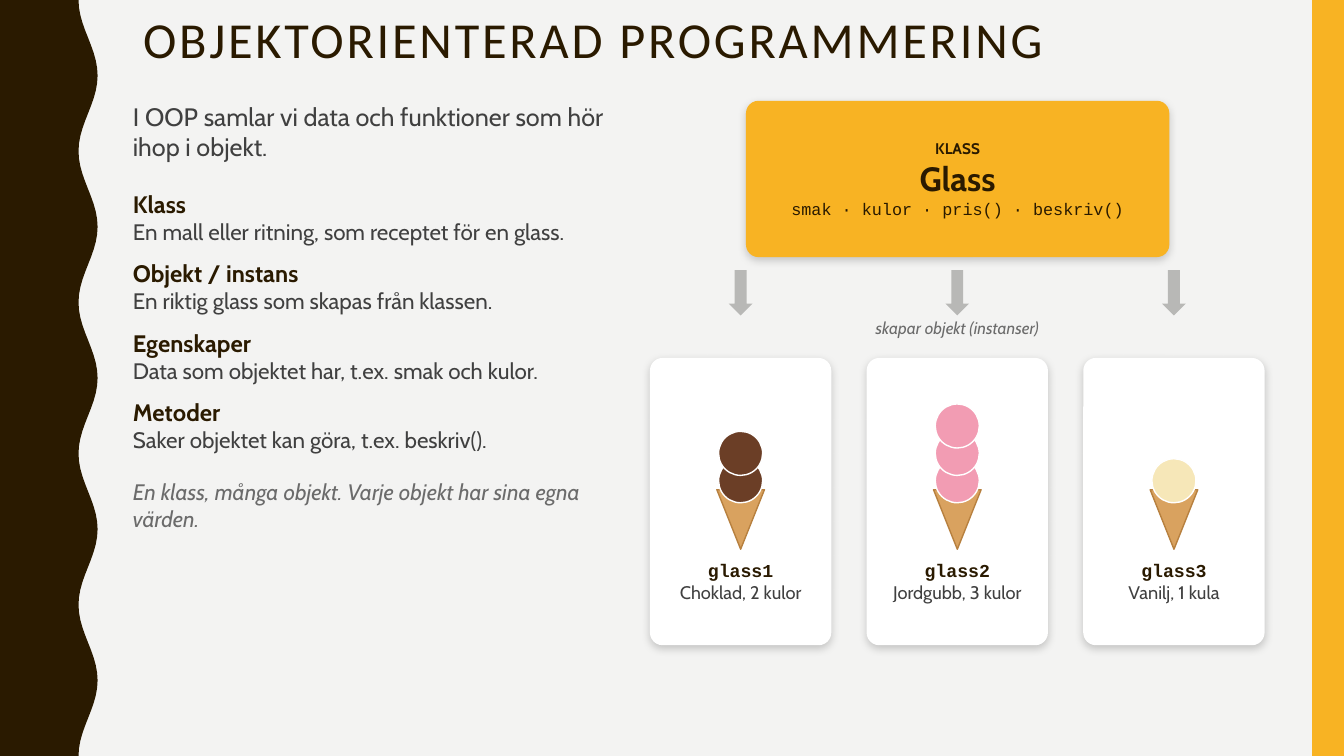
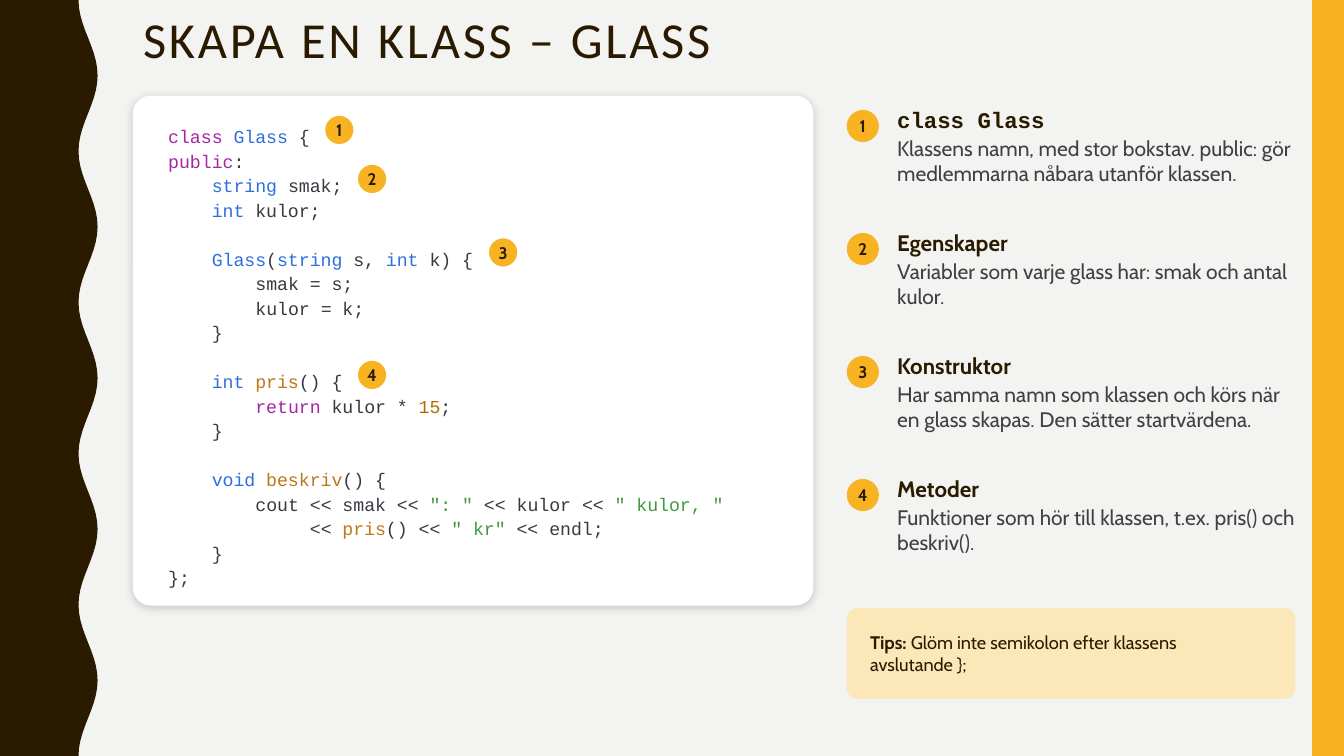
from math import cos, pi
from typing import NamedTuple

from pptx import Presentation
from pptx.dml.color import RGBColor
from pptx.enum.shapes import MSO_SHAPE as Preset
from pptx.enum.text import MSO_ANCHOR as Anchor, MSO_AUTO_SIZE as AutoSize, PP_ALIGN as Align
from pptx.oxml import parse_xml
from pptx.oxml.ns import nsdecls, qn
from pptx.oxml.xmlchemy import OxmlElement
from pptx.util import Cm, Pt


class Style(NamedTuple):
    size: float
    color: str
    font: str = "Cabin"
    bold: bool = False
    italic: bool = False


class Theme:
    background, dark, accent, white = "F3F3F2", "2A1A00", "F8B323", "FFFFFF"
    text, muted, arrow, tip_fill = "404040", "6B6B6B", "B8B8B6", "FBE7B8"
    cone, cone_edge = "D9A25F", "B7803F"
    chocolate, strawberry, vanilla = "6B3E26", "F29CB3", "F6E7B8"
    title_font, mono = "Calibri", "Courier New"
    title_size, code_size, code_pitch = 36, 13, 17.5

    intro = Style(18, text)
    term = Style(17, dark, bold=True)
    meaning = Style(16, text)
    closing = Style(16, muted, italic=True)
    class_tag = Style(11, dark, bold=True)
    class_name = Style(24, dark, bold=True)
    class_members = Style(12, dark, mono)
    caption = Style(12, muted, italic=True)
    object_name = Style(13, dark, mono, bold=True)
    object_values = Style(13, text)
    badge = Style(12, dark, bold=True)
    heading = Style(16, dark, bold=True)
    code_heading = Style(16, dark, mono, bold=True)
    explanation = Style(15, text)
    tip_label = Style(13, dark, bold=True)
    tip = Style(13, dark)

    plain = Style(code_size, "383A42", mono)
    keyword = Style(code_size, "A626A4", mono)
    kind = Style(code_size, "2E6FDB", mono)
    method = Style(code_size, "C0761B", mono)
    number = Style(code_size, "B26B00", mono)
    string = Style(code_size, "3F9A3E", mono)


def add_shape(slide, preset, box, fill, line=None, corner=None, shadow=False):
    shape = slide.shapes.add_shape(preset, *map(Cm, box))
    shape.fill.solid()
    shape.fill.fore_color.rgb = RGBColor.from_string(fill)
    if line:
        shape.line.color.rgb = RGBColor.from_string(line)
        shape.line.width = Pt(1)
    else:
        shape.line.fill.background()
    if corner:
        shape.adjustments[0] = corner
    shape.shadow.inherit = False
    if shadow:
        effects = shape.element.spPr.find(qn("a:effectLst"))
        effects.append(parse_xml(
            f'<a:outerShdw {nsdecls("a")} blurRad="{Pt(6)}" dist="{Pt(2)}" dir="5400000" rotWithShape="0">'
            '<a:srgbClr val="000000"><a:alpha val="18000"/></a:srgbClr></a:outerShdw>'))
    return shape


def write_text(shape, paragraphs, insets=(0, 0), anchor=Anchor.TOP, align=Align.LEFT, pitch=None):
    frame = shape.text_frame
    frame.word_wrap = True
    frame.auto_size = AutoSize.NONE
    frame.vertical_anchor = anchor
    frame.margin_left = frame.margin_right = Cm(insets[0])
    frame.margin_top = frame.margin_bottom = Cm(insets[1])
    for index, (space_before, runs) in enumerate(paragraphs):
        paragraph = frame.add_paragraph() if index else frame.paragraphs[0]
        paragraph.alignment = align
        paragraph.space_before = Pt(space_before)
        if pitch:
            paragraph.line_spacing = Pt(pitch)
        for text, style in runs:
            run = paragraph.add_run()
            run.text = text
            run.font.name = style.font
            run.font.size = Pt(style.size)
            run.font.bold = style.bold
            run.font.italic = style.italic
            run.font.color.rgb = RGBColor.from_string(style.color)


presentation = Presentation()
presentation.slide_width, presentation.slide_height = Cm(33.87), Cm(19.05)
master = presentation.slide_master
master.background.fill.solid()
master.background.fill.fore_color.rgb = RGBColor.from_string(Theme.background)

master_title = master.placeholders[0]
master_title.left, master_title.top, master_title.width, master_title.height = map(Cm, (3.35, 0.23, 30.25, 1.65))
master_title.text_frame.auto_size = AutoSize.NONE
master_title.text_frame.vertical_anchor = Anchor.MIDDLE
text_styles = master.element.find(qn("p:txStyles"))
title_style = text_styles.find(qn("p:titleStyle"))
title_style.replace(title_style.find(qn("a:lvl1pPr")), parse_xml(
    f'<a:lvl1pPr {nsdecls("a")} algn="l"><a:lnSpc><a:spcPct val="90000"/></a:lnSpc>'
    f'<a:spcBef><a:spcPts val="0"/></a:spcBef><a:buNone/>'
    f'<a:defRPr sz="{Theme.title_size * 100}" spc="200">'
    f'<a:solidFill><a:srgbClr val="{Theme.dark}"/></a:solidFill>'
    f'<a:latin typeface="{Theme.title_font}"/></a:defRPr></a:lvl1pPr>'))
list_level = text_styles.find(qn("p:bodyStyle")).find(qn("a:lvl1pPr"))
list_level.set("marL", "0")
list_level.set("indent", "0")
list_level.replace(list_level.find(qn("a:buChar")), OxmlElement("a:buNone"))

concept_slide = presentation.slides.add_slide(presentation.slide_layouts[1])
code_slide = presentation.slides.add_slide(presentation.slide_layouts[5])
concept_slide.shapes.title.text_frame.paragraphs[0].add_run().text = "OBJEKTORIENTERAD PROGRAMMERING"
code_slide.shapes.title.text_frame.paragraphs[0].add_run().text = "SKAPA EN KLASS – GLASS"

wave_steps, wave_count = 100, 5
wave_points = [(Cm(2.22 - 0.24 * cos(2 * pi * wave_count * step / wave_steps)), Cm(19.05 * step / wave_steps))
               for step in range(wave_steps + 1)]
outline = concept_slide.shapes.build_freeform(0, 0)
outline.add_line_segments(wave_points + [(0, Cm(19.05))], close=True)
wave = outline.convert_to_shape()
wave.fill.solid()
wave.fill.fore_color.rgb = RGBColor.from_string(Theme.dark)
wave.line.fill.background()
wave.shadow.inherit = False
band = add_shape(concept_slide, Preset.RECTANGLE, (33.07, 0, 0.8, 19.05), Theme.accent)
for index, decoration in enumerate((wave, band)):
    decoration.element.nvSpPr.cNvPr.set("id", str(101 + index))
    master.shapes.element.insert(2 + index, decoration.element)

terms = [
    ("Klass", "En mall eller ritning, som receptet för en glass."),
    ("Objekt / instans", "En riktig glass som skapas från klassen."),
    ("Egenskaper", "Data som objektet har, t.ex. smak och kulor."),
    ("Metoder", "Saker objektet kan göra, t.ex. beskriv()."),
]
concepts = [(0, [("I OOP samlar vi data och funktioner som hör ihop i objekt.", Theme.intro)])]
for index, (term, meaning) in enumerate(terms):
    concepts.append((10 if index else 20, [(term, Theme.term)]))
    concepts.append((0, [(meaning, Theme.meaning)]))
concepts.append((18, [("En klass, många objekt. Varje objekt har sina egna värden.", Theme.closing)]))
body = concept_slide.placeholders[1]
body.left, body.top, body.width, body.height = map(Cm, (3.35, 2.54, 11.94, 14.99))
write_text(body, concepts)

class_card = add_shape(concept_slide, Preset.ROUNDED_RECTANGLE, (18.8, 2.54, 10.67, 3.94),
                       Theme.accent, corner=0.08, shadow=True)
write_text(class_card, [
    (0, [("KLASS", Theme.class_tag)]),
    (0, [("Glass", Theme.class_name)]),
    (0, [("smak · kulor · pris() · beskriv()", Theme.class_members)]),
], (0.51, 0.2), Anchor.MIDDLE, Align.CENTER)
caption = concept_slide.shapes.add_textbox(*map(Cm, (16.38, 8, 15.49, 0.76)))
write_text(caption, [(0, [("skapar objekt (instanser)", Theme.caption)])], align=Align.CENTER)

objects = [
    ("glass1", "Choklad, 2 kulor", Theme.chocolate, 2),
    ("glass2", "Jordgubb, 3 kulor", Theme.strawberry, 3),
    ("glass3", "Vanilj, 1 kula", Theme.vanilla, 1),
]
card_width, card_pitch, scoop = 4.57, 5.46, 1.11
for index, (name, values, flavour, scoops) in enumerate(objects):
    left = 16.38 + card_pitch * index
    center = left + card_width / 2
    add_shape(concept_slide, Preset.DOWN_ARROW, (center - 0.3, 6.81, 0.6, 1.14), Theme.arrow)
    add_shape(concept_slide, Preset.ROUNDED_RECTANGLE, (left, 9.02, card_width, 7.24),
              Theme.white, corner=0.07, shadow=True)
    cone = add_shape(concept_slide, Preset.ISOSCELES_TRIANGLE, (center - 0.6, 12.34, 1.2, 1.5),
                     Theme.cone, Theme.cone_edge)
    cone.rotation = 180
    for level in range(scoops):
        add_shape(concept_slide, Preset.OVAL, (center - scoop / 2, 11.56 - 0.69 * level, scoop, scoop),
                  flavour, Theme.white)
    label = concept_slide.shapes.add_textbox(*map(Cm, (left + 0.25, 14.1, card_width - 0.5, 2.54)))
    write_text(label, [(0, [(name, Theme.object_name)]), (0, [(values, Theme.object_values)])],
               align=Align.CENTER)

plain, keyword, kind = Theme.plain, Theme.keyword, Theme.kind
method, number, string = Theme.method, Theme.number, Theme.string
code_lines = [
    [("class ", keyword), ("Glass ", kind), ("{", plain)],
    [("public", keyword), (":", plain)],
    [("    ", plain), ("string ", kind), ("smak;", plain)],
    [("    ", plain), ("int ", kind), ("kulor;", plain)],
    [],
    [("    ", plain), ("Glass", kind), ("(", plain), ("string ", kind), ("s, ", plain),
     ("int ", kind), ("k) {", plain)],
    [("        smak = s;", plain)],
    [("        kulor = k;", plain)],
    [("    }", plain)],
    [],
    [("    ", plain), ("int ", kind), ("pris", method), ("() {", plain)],
    [("        ", plain), ("return ", keyword), ("kulor * ", plain), ("15", number), (";", plain)],
    [("    }", plain)],
    [],
    [("    ", plain), ("void ", kind), ("beskriv", method), ("() {", plain)],
    [("        cout << smak << ", plain), ('": " ', string), ("<< kulor << ", plain), ('" kulor, "', string)],
    [("             << ", plain), ("pris", method), ("() << ", plain), ('" kr" ', string), ("<< endl;", plain)],
    [("    }", plain)],
    [("};", plain)],
]
code_card = add_shape(code_slide, Preset.ROUNDED_RECTANGLE, (3.35, 2.41, 17.15, 12.85),
                      Theme.white, corner=0.035, shadow=True)
write_text(code_card, [(0, runs) for runs in code_lines], (0.76, 0.56), pitch=Theme.code_pitch)

explanations = [
    (0, "class Glass", Theme.code_heading,
     "Klassens namn, med stor bokstav. public: gör medlemmarna nåbara utanför klassen."),
    (2, "Egenskaper", Theme.heading, "Variabler som varje glass har: smak och antal kulor."),
    (5, "Konstruktor", Theme.heading,
     "Har samma namn som klassen och körs när en glass skapas. Den sätter startvärdena."),
    (10, "Metoder", Theme.heading, "Funktioner som hör till klassen, t.ex. pris() och beskriv()."),
]
character_width = Pt(Theme.code_size * 0.6).cm
line_height = Pt(Theme.code_pitch).cm
for index, (line, heading, heading_style, explanation) in enumerate(explanations):
    characters = sum(len(text) for text, style in code_lines[line])
    top = 2.67 + 3.1 * index
    code_badge = (4.62 + character_width * characters, 2.92 + line_height * line, 0.71, 0.71)
    list_badge = (21.34, top + 0.1, 0.81, 0.81)
    for box in (code_badge, list_badge):
        badge = add_shape(code_slide, Preset.OVAL, box, Theme.accent)
        write_text(badge, [(0, [(str(index + 1), Theme.badge)])], anchor=Anchor.MIDDLE, align=Align.CENTER)
    note = code_slide.shapes.add_textbox(*map(Cm, (22.61, top, 10.03, 3.05)))
    write_text(note, [(0, [(heading, heading_style)]), (2, [(explanation, Theme.explanation)])])

tip_box = add_shape(code_slide, Preset.ROUNDED_RECTANGLE, (21.34, 15.32, 11.3, 2.29), Theme.tip_fill, corner=0.12)
write_text(tip_box, [(0, [("Tips: ", Theme.tip_label),
                          ("Glöm inte semikolon efter klassens avslutande };", Theme.tip)])],
           (0.51, 0.2), Anchor.MIDDLE)

presentation.save("out.pptx")
